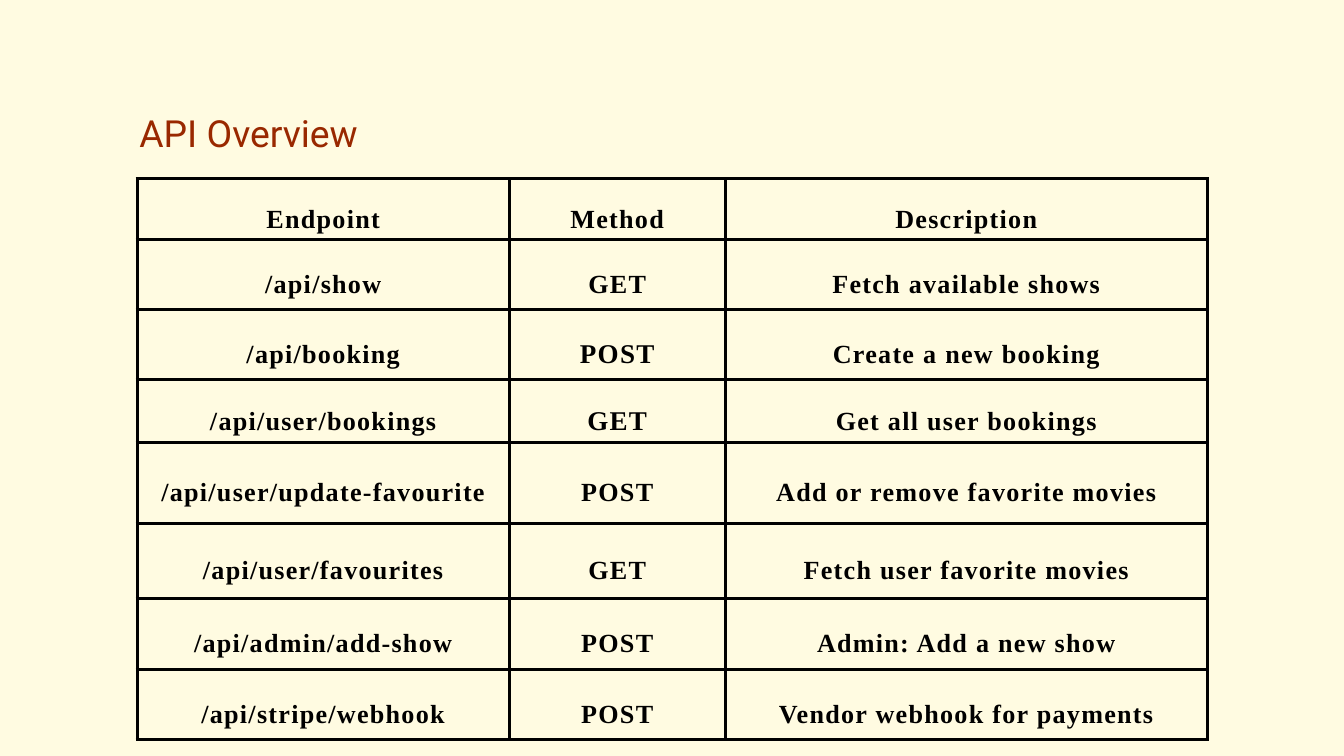
from dataclasses import dataclass

from lxml.etree import SubElement
from pptx import Presentation
from pptx.dml.color import RGBColor
from pptx.enum.text import MSO_ANCHOR, MSO_AUTO_SIZE, PP_ALIGN
from pptx.oxml.ns import qn
from pptx.util import Inches, Pt


@dataclass(frozen=True)
class Theme:
    background: str = "FFFBE1"
    heading: str = "992800"
    ink: str = "000000"
    heading_font: str = "Roboto"
    body_font: str = "Times New Roman"
    heading_size: int = 40
    body_size: int = 28
    large_size: int = 29
    heading_leading: float = 56
    body_leading: float = 52.4
    large_leading: float = 54.2
    tracking: float = 1.4
    border: float = 3.75


THEME = Theme()
WIDTH, HEIGHT = Inches(20), Inches(11.25)
NO_MARGINS = dict.fromkeys(
    ("margin_left", "margin_top", "margin_right", "margin_bottom"), 0)

# Column widths and row heights, in percent of the slide
COLUMN_SHARES = (27.7, 16.05, 35.9)
ROW_SHARES = (8.09, 9.16, 9.33, 8.36, 10.67, 9.87, 9.42, 9.33)

ENDPOINTS = (
    ("Endpoint", "Method", "Description"),
    ("/api/show", "GET", "Fetch available shows"),
    ("/api/booking", "POST", "Create a new booking"),
    ("/api/user/bookings", "GET", "Get all user bookings"),
    ("/api/user/update-favourite", "POST", "Add or remove favorite movies"),
    ("/api/user/favourites", "GET", "Fetch user favorite movies"),
    ("/api/admin/add-show", "POST", "Admin: Add a new show"),
    ("/api/stripe/webhook", "POST", "Vendor webhook for payments"),
)
LARGE_CELLS = {(2, 1), (3, 1)}  # the methods of the two booking endpoints


def across(percent):
    return round(WIDTH * percent / 100)


def down(percent):
    return round(HEIGHT * percent / 100)


def apply_format(target, values):
    for name, value in values.items():
        setattr(target, name, value)


def write_line(frame, words, leading, color, tracking=0, **font_values):
    paragraph = frame.paragraphs[0]
    apply_format(paragraph, {"alignment": PP_ALIGN.CENTER,
                             "line_spacing": Pt(leading)})
    run = paragraph.add_run()
    run.text = words
    apply_format(run.font, font_values)
    run.font.color.rgb = RGBColor.from_string(color)
    if tracking:
        run._r.get_or_add_rPr().set("spc", str(round(tracking * 100)))


def add_borders(cell):
    properties = cell._tc.get_or_add_tcPr()
    for side in ("a:lnL", "a:lnR", "a:lnT", "a:lnB"):
        line = SubElement(properties, qn(side), w=str(Pt(THEME.border)))
        fill = SubElement(line, qn("a:solidFill"))
        SubElement(fill, qn("a:srgbClr"), val=THEME.ink)


def add_heading(slide, words):
    heading = slide.shapes.add_textbox(
        across(4.3), down(13.6), across(28.4), down(6.58))
    frame = heading.text_frame
    apply_format(frame, {**NO_MARGINS, "word_wrap": True,
                         "auto_size": MSO_AUTO_SIZE.SHAPE_TO_FIT_TEXT})
    write_line(frame, words, THEME.heading_leading, THEME.heading,
               name=THEME.heading_font, size=Pt(THEME.heading_size))


def fill_cell(cell, words, large):
    apply_format(cell, {**NO_MARGINS, "vertical_anchor": MSO_ANCHOR.MIDDLE})
    # Borders come before the fill in the cell properties
    add_borders(cell)
    cell.fill.background()
    size = THEME.large_size if large else THEME.body_size
    leading = THEME.large_leading if large else THEME.body_leading
    write_line(cell.text_frame, words, leading, THEME.ink, THEME.tracking,
               name=THEME.body_font, size=Pt(size), bold=True)


def add_endpoint_table(slide):
    endpoint_table = slide.shapes.add_table(
        len(ROW_SHARES), len(COLUMN_SHARES), across(10.2), down(23.64),
        across(sum(COLUMN_SHARES)), down(sum(ROW_SHARES))).table
    apply_format(endpoint_table, {"first_row": False, "horz_banding": False})
    for column, share in zip(endpoint_table.columns, COLUMN_SHARES):
        column.width = across(share)
    for row, share in zip(endpoint_table.rows, ROW_SHARES):
        row.height = down(share)
    for r, endpoint in enumerate(ENDPOINTS):
        for c, words in enumerate(endpoint):
            fill_cell(endpoint_table.cell(r, c), words, (r, c) in LARGE_CELLS)


def main():
    deck = Presentation()
    apply_format(deck, {"slide_width": WIDTH, "slide_height": HEIGHT})
    slide = deck.slides.add_slide(deck.slide_layouts[6])

    # Background
    backdrop = slide.background.fill
    backdrop.solid()
    backdrop.fore_color.rgb = RGBColor.from_string(THEME.background)

    # Content
    add_heading(slide, "API Overview")
    add_endpoint_table(slide)
    deck.save("out.pptx")


if __name__ == "__main__":
    main()
